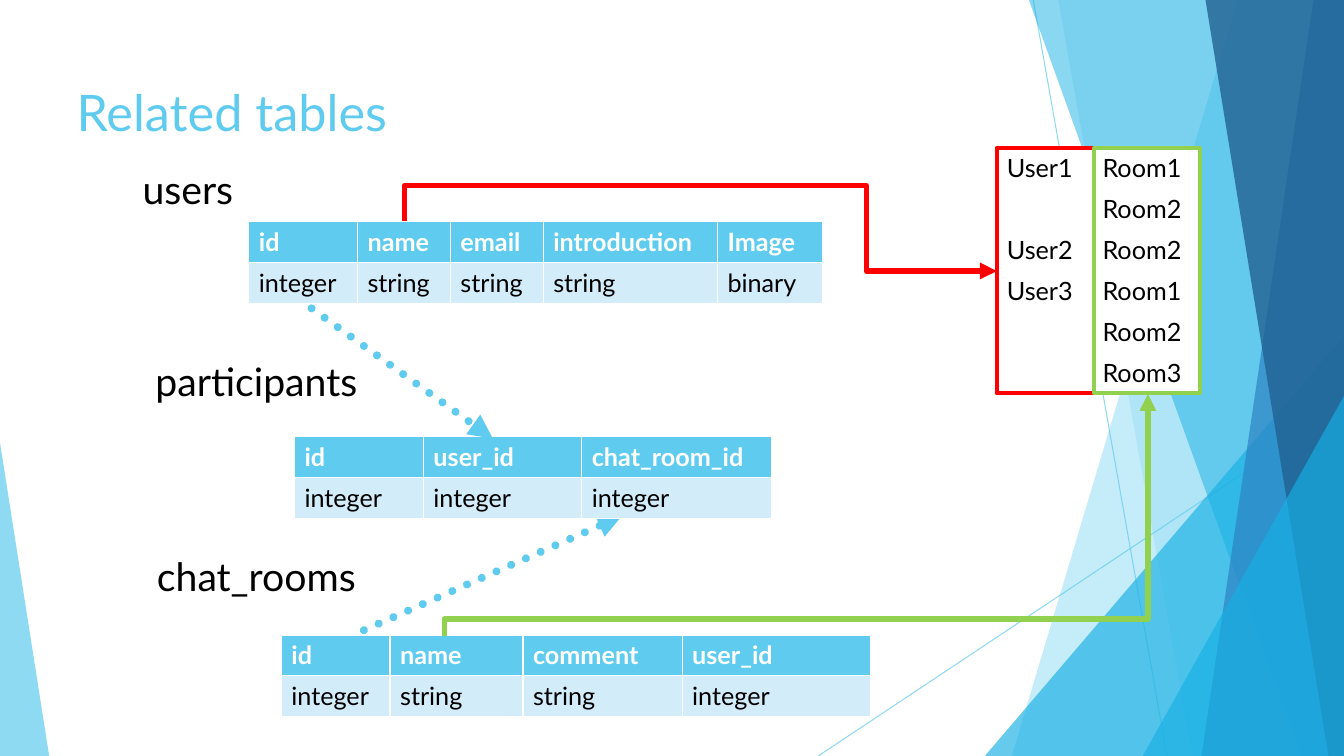
"""Build the slide that shows how the chat tables relate."""
from dataclasses import dataclass

from lxml import etree
from pptx import Presentation
from pptx import util as u
from pptx.dml.color import RGBColor
from pptx.enum import dml, shapes, text
from pptx.oxml import ns


@dataclass(frozen=True)
class Theme:
    font: str = "Lato"
    sky: str = "5FCBEF"
    cyan: str = "17B0E4"
    blue: str = "2E83C3"
    navy: str = "226292"
    pale: str = "D2ECF9"
    red: str = "FF0000"
    green: str = "92D050"
    white: str = "FFFFFF"
    black: str = "000000"
    title: int = 36
    label: int = 28
    body: int = 18
    hair: float = 0.75
    frame: float = 3
    bent: float = 4
    dots: float = 5.75


T = Theme()
WIDE, HIGH = 33.87, 19.05
ROW = 1.03


def cm(*nums):
    return [u.Cm(n) for n in nums]


def child(node, tag, **attrs):
    return etree.SubElement(node, ns.qn(tag), **attrs)


def fade(item, pct):
    for tint in item._element.spPr.iter(ns.qn("a:srgbClr")):
        child(tint, "a:alpha", val=str(pct * 1000))


def write(frame, words, size=T.body, color=T.black, bold=False, align=text.PP_ALIGN.LEFT):
    para = frame.paragraphs[0]
    para.alignment = align
    run = para.add_run()
    run.text = words
    font = run.font
    font.name, font.size, font.bold = T.font, u.Pt(size), bold
    font.color.rgb = RGBColor.from_string(color)


def label(slide, words, box, **style):
    frame = slide.shapes.add_textbox(*cm(*box)).text_frame
    frame.word_wrap = True
    write(frame, words, **style)


def paint(shape, color, pct):
    shape.shadow.inherit = False
    shape.fill.solid()
    shape.fill.fore_color.rgb = RGBColor.from_string(color)
    shape.line.fill.background()
    fade(shape, pct)


def facet(slide, top, low, color, pct):
    pen = slide.shapes.build_freeform(*cm(top, 0))
    pen.add_line_segments([cm(WIDE, 0), cm(WIDE, HIGH), cm(low, HIGH)])
    paint(pen.convert_to_shape(), color, pct)


def wedge(slide, box, peak, color, pct):
    shape = slide.shapes.add_shape(shapes.MSO_SHAPE.ISOSCELES_TRIANGLE, *cm(*box))
    shape.adjustments[0] = peak
    paint(shape, color, pct)


def outline(slide, box, color):
    shape = slide.shapes.add_shape(shapes.MSO_SHAPE.RECTANGLE, *cm(*box))
    shape.shadow.inherit = False
    shape.fill.background()
    shape.line.color.rgb = RGBColor.from_string(color)
    shape.line.width = u.Pt(T.frame)


def link(slide, ends, color, width, kind=shapes.MSO_CONNECTOR.STRAIGHT, arrow=True):
    line = slide.shapes.add_connector(kind, *cm(*ends))
    line.line.color.rgb = RGBColor.from_string(color)
    line.line.width = u.Pt(width)
    if arrow:
        child(line.line._get_or_add_ln(), "a:tailEnd", type="triangle")
    child(line._element.spPr, "a:effectLst")
    return line


def dotted(slide, ends):
    line = link(slide, ends, T.sky, T.dots)
    line.line.dash_style = dml.MSO_LINE.ROUND_DOT
    line.line._get_or_add_ln().set("cap", "rnd")


def elbow(slide, ends, color, turn, flips, bends):
    """Draw a bent arrow whose frame is turned about the middle of its ends."""
    x1, y1, x2, y2 = ends
    midx, midy = (x1 + x2) / 2, (y1 + y2) / 2
    halfw, halfh = abs(y2 - y1) / 2, abs(x2 - x1) / 2
    frame = (midx - halfw, midy - halfh, midx + halfw, midy + halfh)
    line = link(slide, frame, color, T.bent, shapes.MSO_CONNECTOR.ELBOW)
    props = line._element.spPr
    place = props.find(ns.qn("a:xfrm"))
    place.set("rot", str(turn * 60000))
    for flip in flips:
        place.set(flip, "1")
    geom = props.find(ns.qn("a:prstGeom"))
    geom.set("prst", f"bentConnector{len(bends) + 2}")
    for old in list(geom):
        geom.remove(old)
    guides = child(geom, "a:avLst")
    for num, bend in enumerate(bends, 1):
        child(guides, "a:gd", name=f"adj{num}", fmla=f"val {round(bend * 100000)}")


def grid(slide, left, top, cols, rows, head=True):
    size = cm(left, top, sum(cols), ROW * len(rows))
    table = slide.shapes.add_table(len(rows), len(cols), *size).table
    table.first_row, table.horz_banding = head, False
    for col, width in zip(table.columns, cols):
        col.width = u.Cm(width)
    for r, row in enumerate(rows):
        table.rows[r].height = u.Cm(ROW)
        first = head and r == 0
        back = T.sky if first else T.pale if head else T.white
        for c, words in enumerate(row):
            cell = table.cell(r, c)
            cell.fill.solid()
            cell.fill.fore_color.rgb = RGBColor.from_string(back)
            if words:
                write(cell.text_frame, words, bold=first, color=T.white if first else T.black)


def decor(slide):
    for ends in ((26.04, 0, 29.41, HIGH), (WIDE, 10.24, 20.62, HIGH)):
        fade(link(slide, ends, T.sky, T.hair, arrow=False), 70)
    facet(slide, 31.19, 25.5, T.sky, 36)
    facet(slide, 26.67, 30.05, T.sky, 20)
    wedge(slide, (24.82, 8.46, 9.05, 10.59), 1, T.cyan, 66)
    facet(slide, 25.93, 32.79, T.cyan, 50)
    facet(slide, 33.1, 30.28, T.blue, 70)
    facet(slide, 30.38, 33.48, T.navy, 80)
    wedge(slide, (28.8, 9.98, 5.07, 9.07), 1, T.cyan, 66)
    wedge(slide, (0, 11.15, 1.24, 7.9), 0, T.sky, 70)


def main():
    deck = Presentation()
    deck.slide_width, deck.slide_height = cm(WIDE, HIGH)
    slide = deck.slides.add_slide(deck.slide_layouts[6])
    decor(slide)

    label(slide, "Related tables", (1.68, 1.91, 23.88, 3.66), size=T.title, color=T.sky)
    for words, top, width in (("users", 4.04, 3.33), ("participants", 8.89, 6.78),
                              ("chat_rooms", 13.79, 6.78)):
        label(slide, words, (3.07, top, width, 1.45), size=T.label, align=text.PP_ALIGN.CENTER)

    left, top, names, rooms = 25.12, 3.73, 2.46, 2.67
    grid(slide, left, top, (2.41, 2.72),
         (("User1", "Room1"), ("", "Room2"), ("User2", "Room2"),
          ("User3", "Room1"), ("", "Room2"), ("", "Room3")), head=False)
    outline(slide, (left, top, names, 6 * ROW), T.red)
    outline(slide, (left + names, top, rooms, 6 * ROW), T.green)

    grid(slide, 7.09, 16, (2.74, 3.35, 4.01, 4.75),
         (("id", "name", "comment", "user_id"),
          ("integer", "string", "string", "integer")))
    elbow(slide, (10.19, 5.82, left, 6.83), T.red, 270, ["flipH"], (-1.13, 0.78))
    dotted(slide, (9.17, 15.88, 15.67, 13))
    elbow(slide, (11.2, 16.03, 28.93, 9.93), T.green, 90, ["flipH", "flipV"], (0.07,))
    grid(slide, 6.27, 5.59, (2.74, 2.34, 2.34, 4.39, 2.64),
         (("id", "name", "email", "introduction", "Image"),
          ("integer", "string", "string", "string", "binary")))
    grid(slide, 7.42, 11, (3.25, 3.99, 4.78),
         (("id", "user_id", "chat_room_id"), ("integer", "integer", "integer")))
    dotted(slide, (7.85, 7.77, 12.42, 11.05))
    deck.save("out.pptx")


main()
